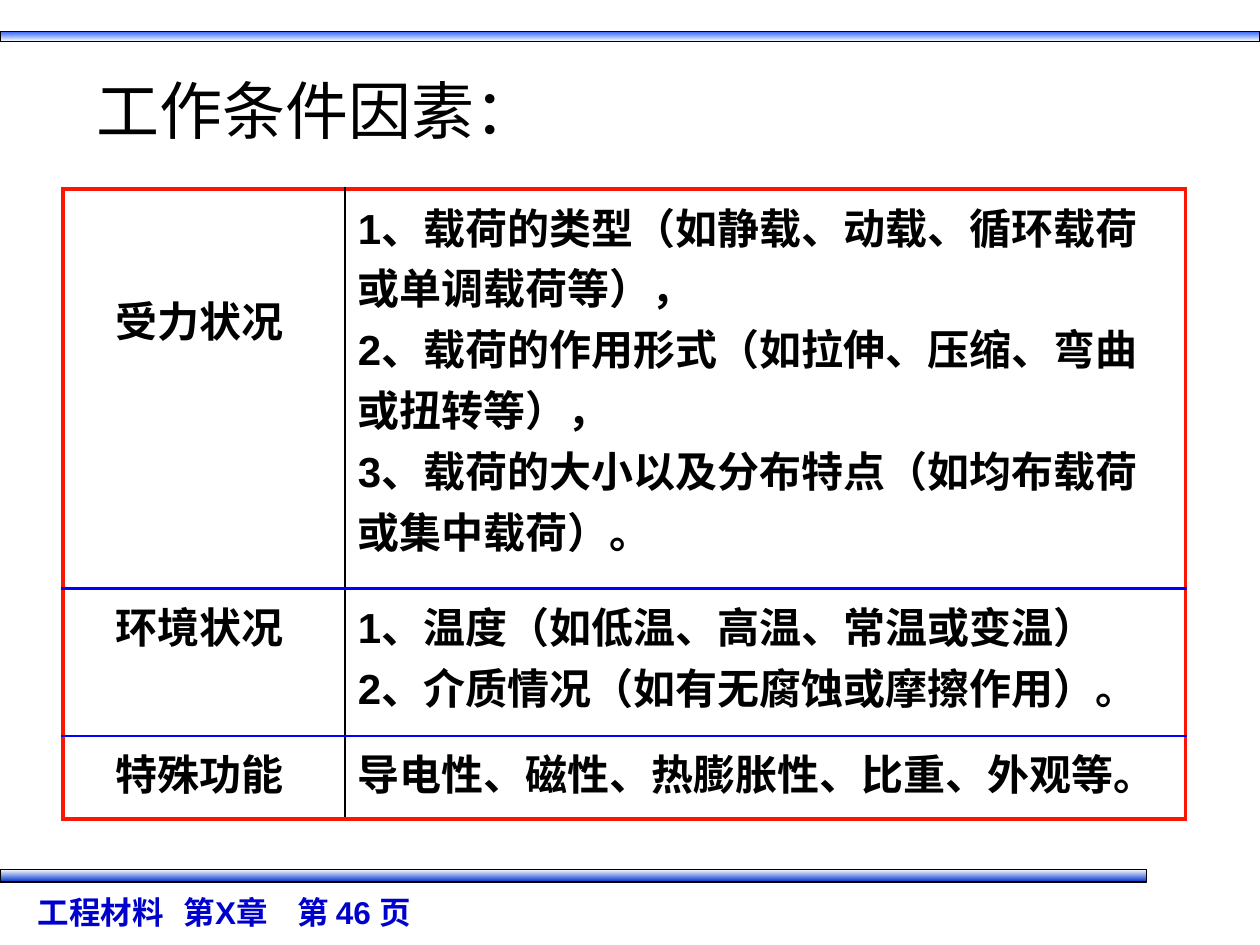
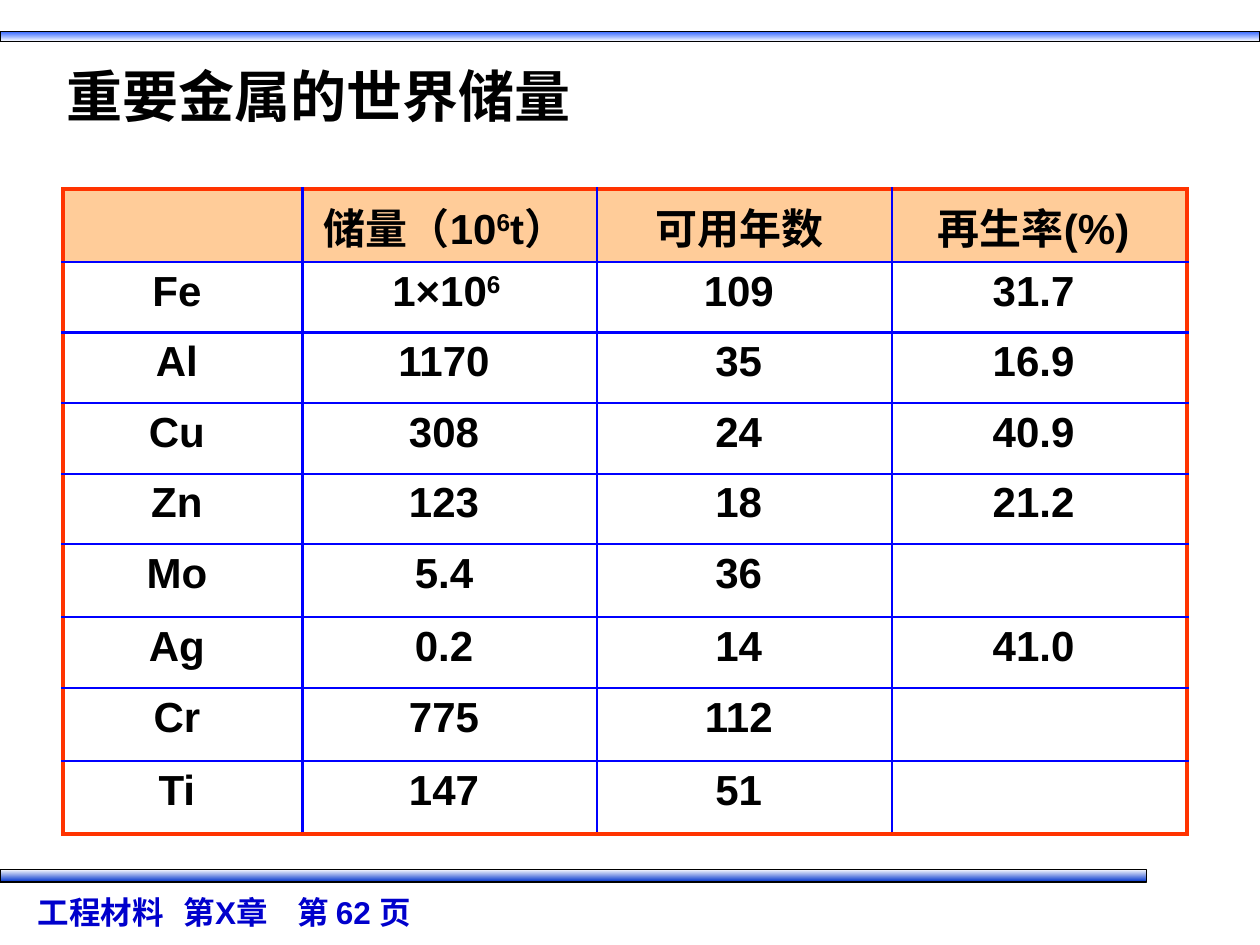
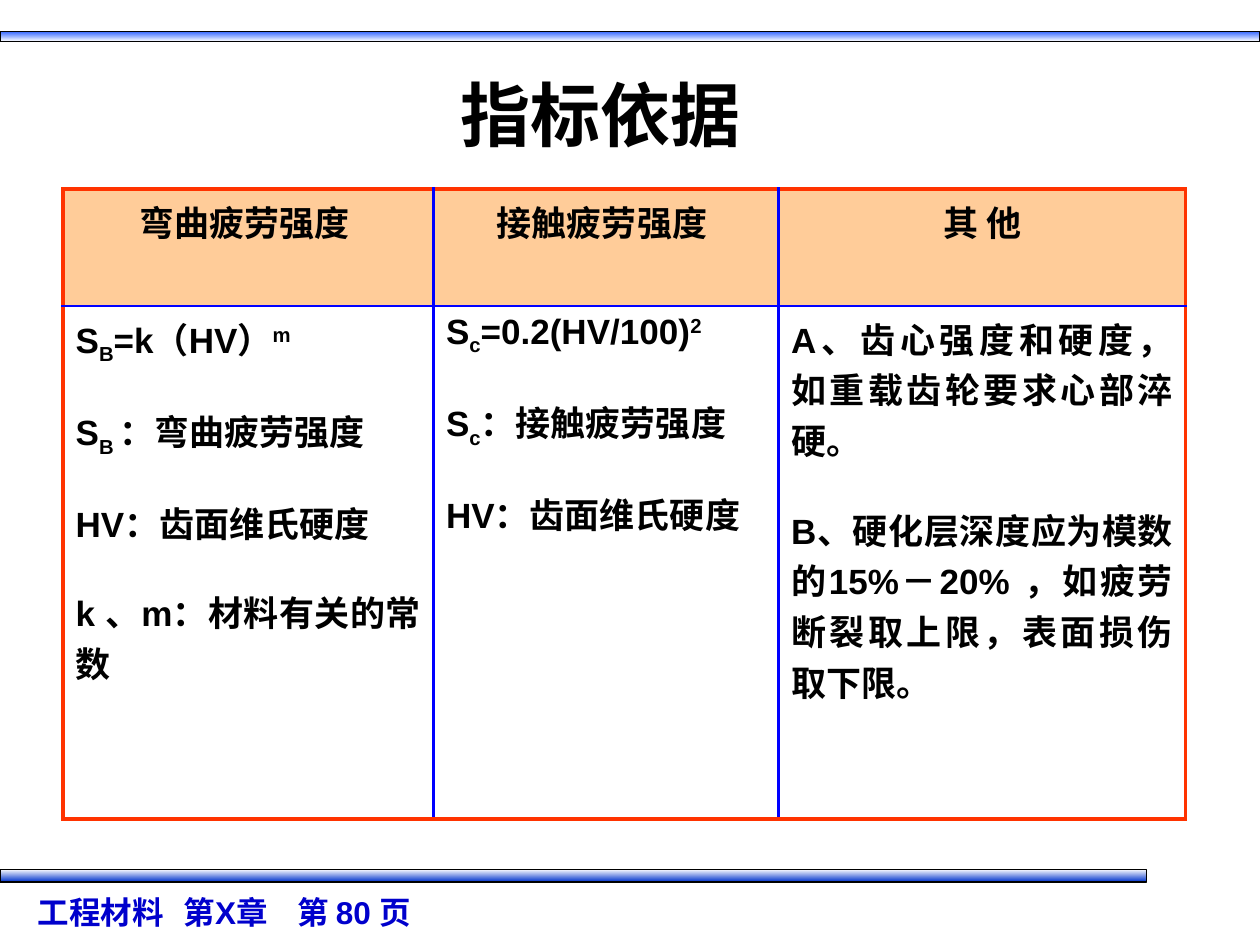
from lxml import etree
from pptx import Presentation
from pptx.dml.color import RGBColor
from pptx.enum import shapes, text
from pptx.oxml.ns import qn
from pptx.util import Inches, Pt

LATIN, CJK = "Arial", "Noto Sans CJK SC"
BLACK, BLUE, RED, ORANGE_RED = "000000", "0000FF", "F91605", "FF3300"
HEADER_FILL, FOOTER_COLOUR = "FFCC99", "0000CC"
SUB, SUP = -25, 30
LEFT, CENTRE, JUSTIFY = text.PP_ALIGN.LEFT, text.PP_ALIGN.CENTER, text.PP_ALIGN.JUSTIFY

# left, top, width, height, top colour, bottom colour
BANDS = [
    (0, 0.25, 10, 0.08, "3366FF", "FFFFFF"),
    (0, 6.9, 9.1, 0.1, "FFFFFF", "0033CC"),
]
FOOTER_PLACE = (0.2, 7.04, 6.38, 0.4)
FOOTER_TABS = [1.16, 2.06]
TABLE_LEFT, TABLE_TOP = 0.5, 1.5

# A cell is a list of paragraphs; a paragraph is a string or a list of runs,
# and a run is a string or a pair of text and baseline shift.
CONDITIONS = [
    [["受力状况 "], [
        "1、载荷的类型（如静载、动载、循环载荷或单调载荷等），",
        "2、载荷的作用形式（如拉伸、压缩、弯曲或扭转等），",
        "3、载荷的大小以及分布特点（如均布载荷或集中载荷）。"]],
    [["环境状况 "], [
        "1、温度（如低温、高温、常温或变温）",
        "2、介质情况（如有无腐蚀或摩擦作用）。"]],
    [["特殊功能 "], ["导电性、磁性、热膨胀性、比重、外观等。"]],
]
RESERVES = [
    ["", ["储量（10", ("6", SUP), "t） "], "可用年数 ", "再生率(%) "],
    ["Fe ", ["1×10", ("6 ", SUP)], "109 ", "31.7 "],
    ["Al ", "1170 ", "35 ", "16.9 "],
    ["Cu ", "308 ", "24 ", "40.9 "],
    ["Zn ", "123 ", "18 ", "21.2 "],
    ["Mo ", "5.4 ", "36 ", ""],
    ["Ag ", "0.2 ", "14 ", "41.0 "],
    ["Cr ", "775 ", "112 ", ""],
    ["Ti ", "147 ", "51 ", ""],
]
CRITERIA = [
    [["弯曲疲劳强度 "], ["接触疲劳强度 "], ["其 他"]],
    [
        [["S", ("B", SUB), "=k（HV）", ("m", SUP)],
         ["S", ("B ", SUB), "：弯曲疲劳强度"],
         "HV：齿面维氏硬度",
         "k 、m：材料有关的常数 "],
        [["S", ("c", SUB), "=0.2(HV/100)", ("2", SUP)],
         ["S", ("c", SUB), "：接触疲劳强度"],
         "HV：齿面维氏硬度 "],
        ["A、齿心强度和硬度， 如重载齿轮要求心部淬硬。",
         "B、硬化层深度应为模数的15%－20% ，如疲劳断裂取上限，表面损伤取下限。 "],
    ],
]

SLIDES = [
    dict(page=46,
         title=dict(content="工作条件因素：", place=(0.67, 0.52, 6.58, 0.8), size=36,
                    font=CJK, bold=False),
         table=dict(cells=CONDITIONS, columns=[2.24, 6.67], rows=[3.17, 1.17, 0.66],
                    size=24, outer=(RED, 2.25), vertical=(BLACK, 1), header=False,
                    aligns=lambda row, column: LEFT if column else CENTRE,
                    top_margins={(0, 0): 0.79})),
    dict(page=62,
         title=dict(content="重要金属的世界储量", place=(0.43, 0.44, 8.98, 0.96), size=32,
                    font=CJK),
         table=dict(cells=[[[value] for value in row] for row in RESERVES],
                    columns=[1.9] + [2.34] * 3,
                    rows=[0.58 if "" in row else 0.56 for row in RESERVES],
                    size=24, aligns=lambda row, column: CENTRE)),
    dict(page=80,
         title=dict(content="指标依据 ", place=(1.54, 0.52, 6.58, 0.8), size=40, align=CENTRE),
         table=dict(cells=CRITERIA, columns=[2.94, 2.74, 3.23], rows=[0.93, 4.07],
                    size=20, gap=22,
                    aligns=lambda row, column: JUSTIFY if row else CENTRE)),
]


def rgb(colour):
    return RGBColor.from_string(colour)


def write_paragraph(paragraph, content, size, colour=BLACK, font=LATIN, bold=True, align=LEFT):
    paragraph.alignment = align
    paragraph.font.size = Pt(size)
    paragraph.font.bold = bold
    paragraph.font.name = font
    paragraph.font.color.rgb = rgb(colour)
    defaults = paragraph._p.pPr.find(qn("a:defRPr"))
    etree.SubElement(defaults, qn("a:ea"), typeface=CJK)
    for part in [content] if isinstance(content, str) else content:
        words, shift = (part, 0) if isinstance(part, str) else part
        if words:
            run = paragraph.add_run()
            run.text = words
            if shift:
                run.font._element.set("baseline", str(shift * 1000))


def add_text_box(slide, place, anchor):
    frame = slide.shapes.add_textbox(*map(Inches, place)).text_frame
    frame.word_wrap = True
    frame.vertical_anchor = anchor
    return frame.paragraphs[0]


def add_title(slide, content, place, size, **style):
    paragraph = add_text_box(slide, place, text.MSO_ANCHOR.TOP)
    write_paragraph(paragraph, content, size, **style)


def add_bands(slide):
    for *place, top_colour, bottom_colour in BANDS:
        band = slide.shapes.add_shape(shapes.MSO_SHAPE.RECTANGLE, *map(Inches, place))
        band.shadow.inherit = False
        band.fill.gradient()
        band.fill.gradient_angle = 270
        for stop, position, colour in zip(band.fill.gradient_stops, (0, 1),
                                          (top_colour, bottom_colour)):
            stop.position = position
            stop.color.rgb = rgb(colour)
        band.line.color.rgb = rgb(BLACK)
        band.line.width = Pt(0.75)


def add_footer(slide, page):
    paragraph = add_text_box(slide, FOOTER_PLACE, text.MSO_ANCHOR.MIDDLE)
    tabs = etree.SubElement(paragraph._p.get_or_add_pPr(), qn("a:tabLst"))
    for position in FOOTER_TABS:
        etree.SubElement(tabs, qn("a:tab"), pos=str(Inches(position)), algn="l")
    write_paragraph(paragraph, f"工程材料\t第X章\t第 {page} 页", 18, FOOTER_COLOUR)


def set_borders(cell, borders):
    """Put left, right, top and bottom lines, in that order, before the cell's fill."""
    properties = cell._tc.get_or_add_tcPr()
    for index, (side, (colour, width)) in enumerate(zip("LRTB", borders)):
        line = etree.Element(qn(f"a:ln{side}"), w=str(Pt(width)))
        fill = etree.SubElement(line, qn("a:solidFill"))
        etree.SubElement(fill, qn("a:srgbClr"), val=colour)
        properties.insert(index, line)


def add_table(slide, cells, columns, rows, size, aligns, outer=(ORANGE_RED, 2.25),
              vertical=(BLUE, 1.5), horizontal=(BLUE, 1.5), header=True, gap=0,
              top_margins={}):
    frame = slide.shapes.add_table(len(rows), len(columns), Inches(TABLE_LEFT),
                                   Inches(TABLE_TOP), Inches(sum(columns)), Inches(sum(rows)))
    table = frame.table
    table.first_row = table.horz_banding = False
    for column, width in zip(table.columns, columns):
        column.width = Inches(width)
    for row, height in zip(table.rows, rows):
        row.height = Inches(height)

    for r, row in enumerate(cells):
        for c, paragraphs in enumerate(row):
            cell = table.cell(r, c)
            if header and r == 0:
                cell.fill.solid()
                cell.fill.fore_color.rgb = rgb(HEADER_FILL)
            else:
                cell.fill.background()
            set_borders(cell, [
                outer if c == 0 else vertical,
                outer if c == len(columns) - 1 else vertical,
                outer if r == 0 else horizontal,
                outer if r == len(rows) - 1 else horizontal,
            ])
            if (r, c) in top_margins:
                cell.margin_top = Inches(top_margins[r, c])
            for index, content in enumerate(paragraphs):
                if index:
                    paragraph = cell.text_frame.add_paragraph()
                    paragraph.space_before = Pt(gap)
                else:
                    paragraph = cell.text_frame.paragraphs[0]
                write_paragraph(paragraph, content, size, align=aligns(r, c))


def main():
    presentation = Presentation()
    presentation.slide_width, presentation.slide_height = Inches(10), Inches(7.5)
    for content in SLIDES:
        slide = presentation.slides.add_slide(presentation.slide_layouts[6])
        add_bands(slide)
        add_footer(slide, content["page"])
        add_title(slide, **content["title"])
        add_table(slide, **content["table"])
    presentation.save("out.pptx")


if __name__ == "__main__":
    main()
